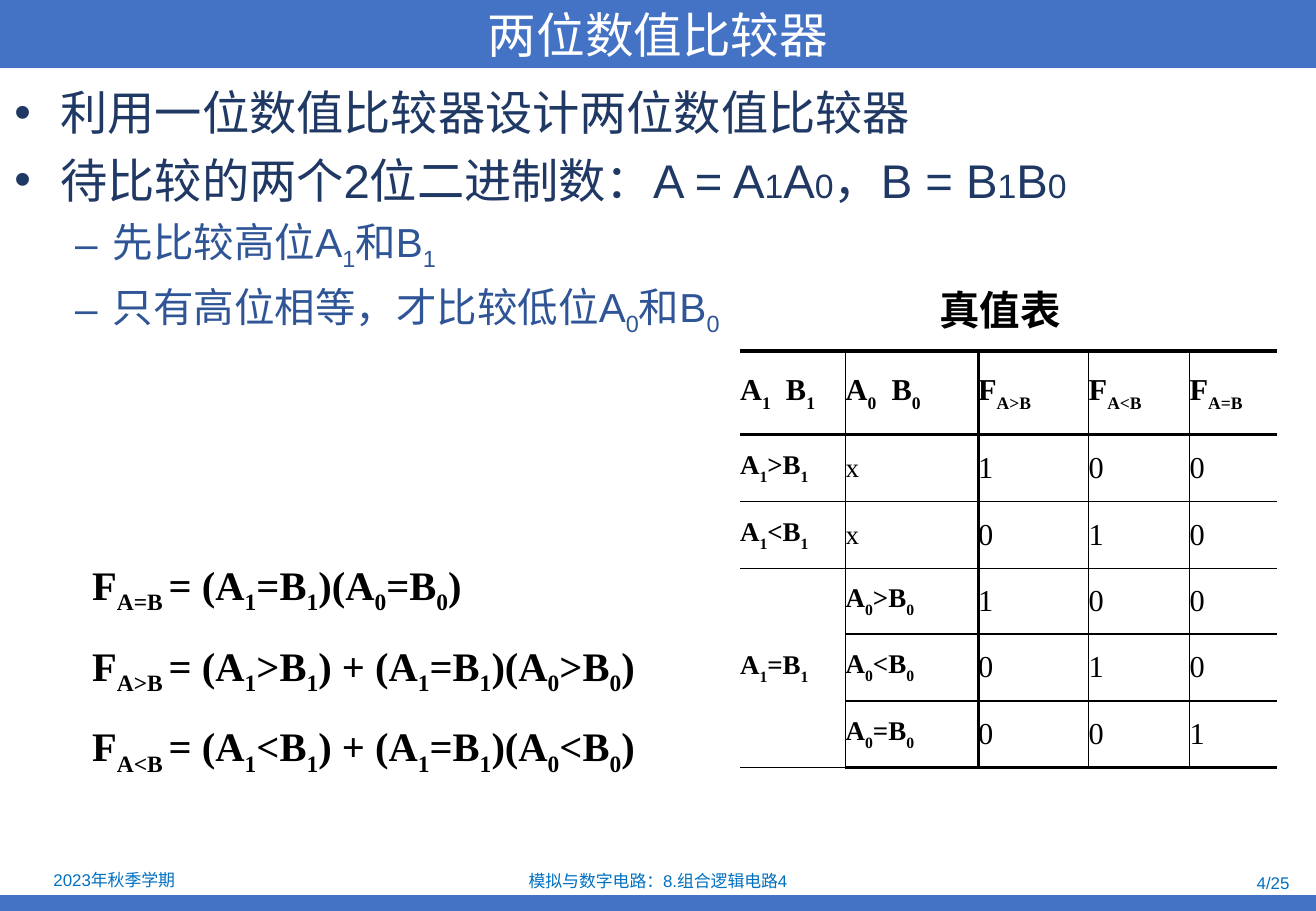
from lxml.etree import SubElement
from pptx import Presentation
from pptx.dml.color import RGBColor
from pptx.enum.shapes import MSO_SHAPE as SHAPE
from pptx.enum.text import MSO_ANCHOR as ANCHOR, PP_ALIGN as ALIGN
from pptx.oxml import parse_xml
from pptx.oxml.ns import nsdecls, qn
from pptx.util import Inches, Pt

rgb = RGBColor.from_string
BLUE, FOOT, BLACK = "4472C4", "0070C0", "000000"
SERIF = "Times New Roman"


def write(par, text, size, color, face="Arial", bold=False, base=-25, small=None):
    """Fill a paragraph; every second piece between bars is a subscript, or small."""
    font = par.font
    font.size, font.name, font.bold = Pt(size), face, bold
    font.color.rgb = rgb(color)
    SubElement(font._element, qn("a:ea")).set("typeface", face)
    for i, piece in enumerate(text.split("|")):
        if not piece:
            continue
        run = par.add_run()
        run.text = piece
        if i % 2 and small:
            run.font.size = Pt(small)
        elif i % 2:
            run.font._element.set("baseline", str(base * 1000))


def add_box(left, top, width, height, anchor=ANCHOR.TOP):
    box = slide.shapes.add_textbox(*map(Inches, (left, top, width, height)))
    frame = box.text_frame
    frame.word_wrap = True
    frame.vertical_anchor = anchor
    return frame


prs = Presentation()
prs.slide_width, prs.slide_height = Inches(10.83), Inches(7.5)
slide = prs.slides.add_slide(prs.slide_layouts[6])

# Title bar and bottom bar
for top, height, text in [(7.37, 0.13, ""), (0, 0.56, "两位数值比较器")]:
    bar = slide.shapes.add_shape(SHAPE.RECTANGLE, 0, Inches(top), Inches(10.83), Inches(height))
    bar.shadow.inherit = False
    bar.fill.solid()
    bar.fill.fore_color.rgb = rgb(BLUE)
    bar.line.fill.background()
    if text:
        bar.text_frame.vertical_anchor = ANCHOR.MIDDLE
        par = bar.text_frame.paragraphs[0]
        par.alignment = ALIGN.CENTER
        write(par, text, 28.8, "FFFFFF", "Noto Sans CJK SC")

# Bullets
body = add_box(0.02, 0.64, 10.81, 6.4)
points = [
    (0, "利用一位数值比较器设计两位数值比较器"),
    (0, "待比较的两个2位二进制数：A = A|1|A|0|，B = B|1|B|0"),
    (1, "先比较高位A|1|和B|1"),
    (1, "只有高位相等，才比较低位A|0|和B|0"),
]
looks = [("•", 28, "203864", 0.38, -0.38, 20), ("–", 24, "2F5597", 0.81, -0.31, None)]
for i, (level, text) in enumerate(points):
    mark, size, color, margin, indent, small = looks[level]
    par = body.add_paragraph() if i else body.paragraphs[0]
    par.level = level
    props = par._p.get_or_add_pPr()
    props.set("marL", str(Inches(margin)))
    props.set("indent", str(Inches(indent)))
    SubElement(props, qn("a:buFont")).set("typeface", "Arial")
    SubElement(props, qn("a:buChar")).set("char", mark)
    if i:
        par.space_before = Pt(size * 0.23)
    write(par, text, size, color, small=small)

# Footer
for left, top, width, align, text in [
    (0.02, 7.13, 1.84, ALIGN.CENTER, "2023年秋季学期"),
    (3.7, 7.14, 3.43, ALIGN.CENTER, "模拟与数字电路：8.组合逻辑电路4"),
    (8.18, 7.16, 2.53, ALIGN.RIGHT, "4/25"),
]:
    par = add_box(left, top, width, 0.22, ANCHOR.MIDDLE).paragraphs[0]
    par.alignment = align
    write(par, text, 10, FOOT)

# Formulas
for top, text in [
    (4.56, "F|A=B |= (A|1|=B|1|)(A|0|=B|0|)"),
    (5.23, "F|A>B |= (A|1|>B|1|) + (A|1|=B|1|)(A|0|>B|0|)"),
    (5.89, "F|A<B |= (A|1|<B|1|) + (A|1|=B|1|)(A|0|<B|0|)"),
]:
    par = add_box(0.66, top, 5.43, 0.5).paragraphs[0]
    write(par, text, 24, BLACK, SERIF, True)

# Truth table
write(add_box(7.63, 2.3, 1.3, 0.5).paragraphs[0], "真值表", 24, BLACK, bold=True)
rows = [
    ["A|1|  B|1", "A|0|  B|0", "F|A>B", "F|A<B", "F|A=B"],
    ["A|1|>B|1", "x", "1", "0", "0"],
    ["A|1|<B|1", "x", "0", "1", "0"],
    ["A|1|=B|1", "A|0|>B|0", "1", "0", "0"],
    ["", "A|0|<B|0", "0", "1", "0"],
    ["", "A|0|=B|0", "0", "0", "1"],
]
widths = [0.87, 1.09, 0.91, 0.83, 0.72]
heights = [0.69, 0.55, 0.55, 0.54, 0.55, 0.55]
table = slide.shapes.add_table(
    6, 5, Inches(6.09), Inches(2.89), Inches(sum(widths)), Inches(sum(heights))).table
table.first_row = table.horz_banding = False
for col, width in zip(table.columns, widths):
    col.width = Inches(width)
for row, height in zip(table.rows, heights):
    row.height = Inches(height)
table.cell(3, 0).merge(table.cell(5, 0))

across = [2.25, 2, 1, 1, 1, 1, 2.25]
down = [0, 1, 2.25, 1, 1, 0]
for r, row in enumerate(rows):
    for c, text in enumerate(row):
        cell = table.cell(r, c)
        cell.margin_left = cell.margin_right = cell.margin_top = cell.margin_bottom = 0
        cell.vertical_anchor = ANCHOR.MIDDLE
        cell.fill.background()
        sides = [("L", down[c]), ("R", down[c + 1]), ("T", across[r]), ("B", across[r + 1])]
        for i, (side, weight) in enumerate(sides):
            ink = f'<a:solidFill><a:srgbClr val="{BLACK}"/></a:solidFill>' if weight else "<a:noFill/>"
            edge = f'<a:ln{side} {nsdecls("a")} w="{Pt(weight)}">{ink}</a:ln{side}>'
            cell._tc.get_or_add_tcPr().insert(i, parse_xml(edge))
        if text:
            size = 16 if r and c < 2 else 18
            par = cell.text_frame.paragraphs[0]
            par.space_after = Pt(size * 0.2)
            write(par, text, size, BLACK, SERIF, "|" in text, -30)

prs.save("out.pptx")
